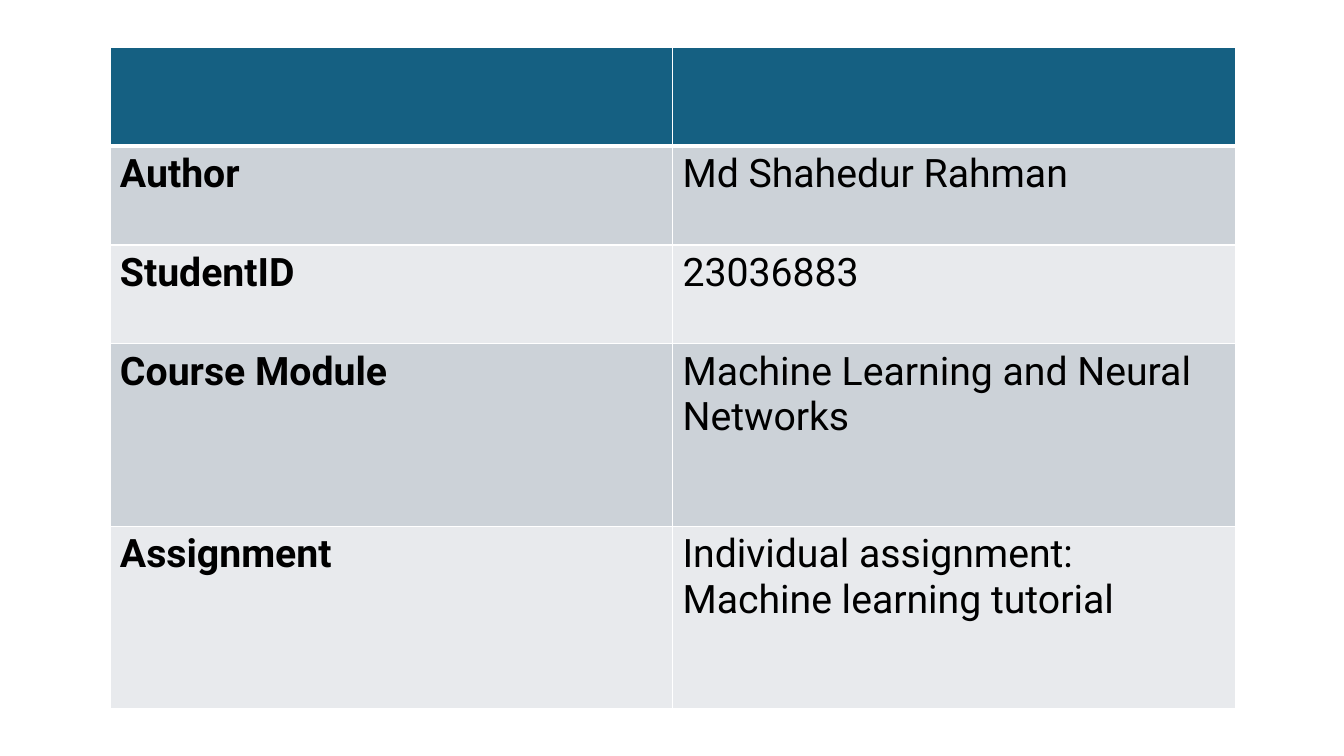
from lxml.etree import SubElement
from pptx import Presentation
from pptx.dml.color import RGBColor
from pptx.oxml.ns import qn
from pptx.util import Inches, Pt

HEADER = RGBColor(0x15, 0x60, 0x82)
BAND_DARK = RGBColor(0xCC, 0xD2, 0xD8)
BAND_LIGHT = RGBColor(0xE8, 0xEA, 0xED)
BLACK = RGBColor(0, 0, 0)
WHITE = RGBColor(0xFF, 0xFF, 0xFF)

SLIDE_W, SLIDE_H = 13.33, 7.5
TABLE_BOX = (1.09, 0.47, 11.16, 6.56)
ROW_HEIGHTS = (0.98, 0.98, 0.98, 1.81, 1.81)
DETAILS = [
    ("", ""),
    ("Author", "Md Shahedur Rahman"),
    ("StudentID", "23036883"),
    ("Course Module", "Machine Learning and Neural Networks"),
    ("Assignment", "Individual assignment: Machine learning tutorial"),
]
TEXT = {"name": "Roboto", "size": Pt(28)}


def set_borders(cell, widths):
    """Draw white cell borders; widths maps each side to points."""
    tcPr = cell._tc.get_or_add_tcPr()
    for side, width in widths.items():
        ln = SubElement(tcPr, qn(f"a:ln{side}"), w=str(Pt(width)))
        fill = SubElement(ln, qn("a:solidFill"))
        SubElement(fill, qn("a:srgbClr"), val=str(WHITE))


def write_cell(cell, text, bold):
    p = cell.text_frame.paragraphs[0]
    font = p.font
    if text:
        r = p.add_run()
        r.text = text
        font = r.font
    for name, value in {**TEXT, "bold": bold}.items():
        setattr(font, name, value)
    font.color.rgb = BLACK


def add_details_table(slide, box, rows):
    left, top, width, height = map(Inches, box)
    n_cols = len(rows[0])
    table = slide.shapes.add_table(
        len(rows), n_cols, left, top, width, height).table
    for col in table.columns:
        col.width = width // n_cols

    for i, (row, values) in enumerate(zip(table.rows, rows)):
        row.height = Inches(ROW_HEIGHTS[i])
        # Header first, then alternating bands
        color = HEADER if i == 0 else (BAND_LIGHT, BAND_DARK)[i % 2]
        # A thicker rule divides the header from the body
        widths = {"L": 1, "R": 1, "T": 3 if i == 1 else 1,
                  "B": 3 if i == 0 else 1}
        for j, (cell, text) in enumerate(zip(row.cells, values)):
            set_borders(cell, widths)
            cell.fill.solid()
            cell.fill.fore_color.rgb = color
            write_cell(cell, text, bold=j == 0)


def main():
    prs = Presentation()
    prs.slide_width, prs.slide_height = Inches(SLIDE_W), Inches(SLIDE_H)
    slide = prs.slides.add_slide(prs.slide_layouts[6])
    add_details_table(slide, TABLE_BOX, DETAILS)
    prs.save("out.pptx")


if __name__ == "__main__":
    main()
